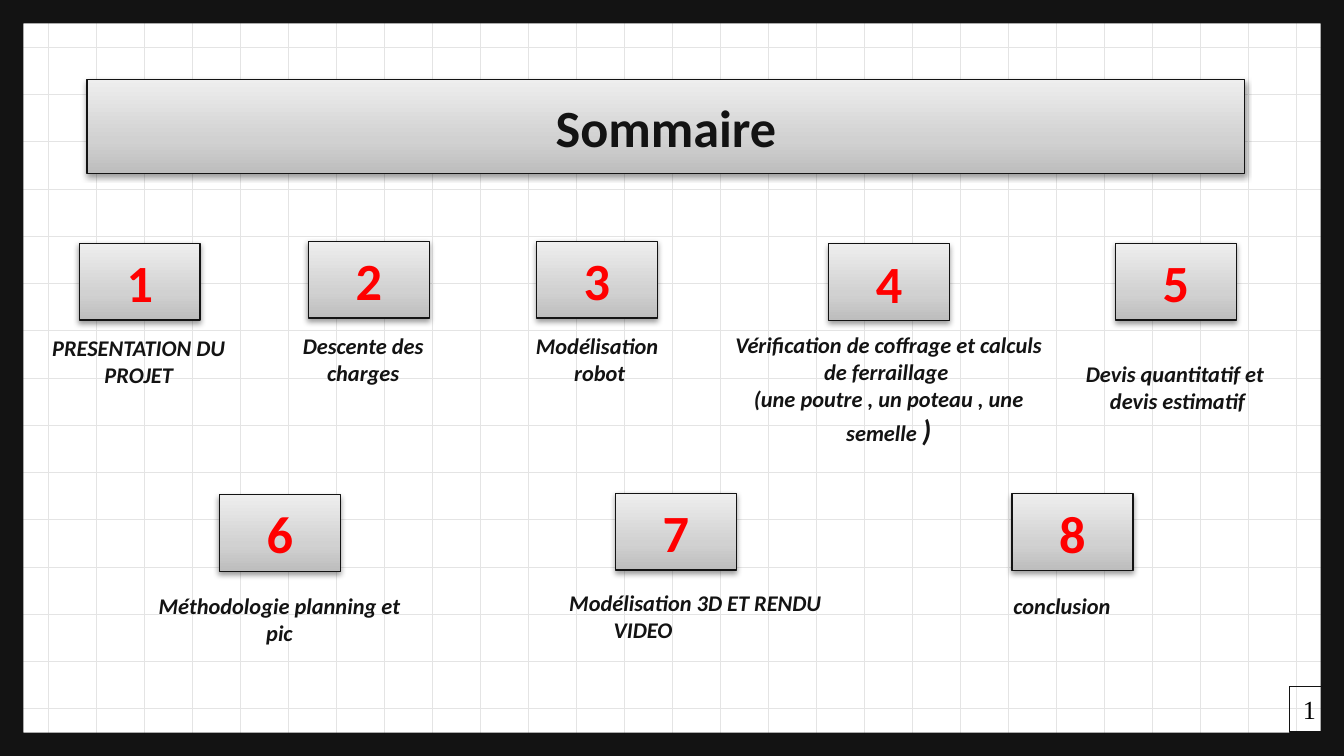
from lxml.etree import SubElement
from pptx import Presentation
from pptx.dml.color import RGBColor
from pptx.enum.shapes import MSO_CONNECTOR, MSO_SHAPE
from pptx.enum.text import MSO_ANCHOR as Anchor, MSO_AUTO_SIZE as AutoSize, PP_ALIGN as Align
from pptx.oxml.ns import qn
from pptx.util import Inches, Pt

INK = RGBColor(0x13, 0x13, 0x13)
RED = RGBColor(0xFF, 0x00, 0x00)
BLACK = RGBColor(0x00, 0x00, 0x00)
GRID_GREY = RGBColor(0xE4, 0xE4, 0xE4)
PANEL_STOPS = ((0, "BDBDBD"), (35, "D1D1D1"), (100, "EEEEEE"))

# The layout grid: square units, 100 columns by 56.25 rows.
UNIT = Inches(0.1)
COLUMNS, ROWS = 100, 56.25
CARD_WIDTH, CARD_HEIGHT = 9, 5.73

# Column and row of each numbered card.
CARDS = [(5.9, 18.1), (22.95, 17.95), (39.92, 17.95), (61.65, 18.13), (83, 18.1),
         (16.33, 36.8), (45.8, 36.7), (75.3, 36.73)]

# Text, (column, row, width, height) and further label options.
LABELS = [
    ("PRESENTATION DU PROJET", (2.27, 22.65, 16.1, 7.2), {}),
    ("Descente des charges", (20.23, 24.45, 13.6, 5.3), {}),
    ("Modélisation \nrobot", (33.87, 24.4, 21.5, 5.3), {}),
    ("Vérification de coffrage et calculs de ferraillage \v"
     "(une poutre , un poteau , une semelle ", (53.38, 24, 25.5, 10.3), {"ending": ")"}),
    ("Devis quantitatif et \ndevis estimatif", (76.57, 25.1, 20.4, 6.7), {"hanging": True}),
    ("Méthodologie planning et pic", (10.6, 43.1, 20.4, 6), {}),
    ("Modélisation 3D ET RENDU VIDEO", (39.67, 43.15, 22.9, 5.7),
     {"hanging": True, "align": Align.LEFT}),
    ("conclusion", (68.82, 42.85, 20.4, 4.2), {}),
]


def grid(*lengths):
    return [round(length * UNIT) for length in lengths]


class SlideBuilder:
    """Holds the slide's style and the page being drawn."""
    font = "Calibri"
    heading_size = Pt(28)
    label_size = Pt(12)
    thin_line = Pt(0.75)

    def __init__(self, deck):
        self.page = deck.slides.add_slide(deck.slide_layouts[5])
        self.shapes = self.page.shapes

    def grid_line(self, *ends):
        line = self.shapes.add_connector(MSO_CONNECTOR.STRAIGHT, *grid(*ends))
        line.line.color.rgb = GRID_GREY
        line.line.width = Pt(0.38)
        SubElement(line.element.spPr, qn("a:effectLst"))

    def squared_paper(self, columns=28, rows=16):
        for row in range(1, rows):
            y = ROWS * row / rows
            self.grid_line(0, y, COLUMNS, y)
        for column in range(1, columns):
            x = COLUMNS * column / columns
            self.grid_line(x, 0, x, ROWS)

    def frame(self):
        border = self.shapes.add_shape(MSO_SHAPE.FRAME, *grid(0, 0, COLUMNS, ROWS))
        border.adjustments[0] = 0.031
        border.shadow.inherit = False
        border.fill.solid()
        border.fill.fore_color.rgb = INK
        border.line.fill.background()

    def style_text(self, shape, size, color, anchor, align=Align.CENTER, italic=False):
        box = shape.text_frame
        box.auto_size = AutoSize.NONE
        box.word_wrap = True
        box.vertical_anchor = anchor
        box.margin_left = box.margin_right = box.margin_top = box.margin_bottom = UNIT
        for para in box.paragraphs:
            para.alignment = align
            for span in para.runs:
                span.font.name = self.font
                span.font.size = size
                span.font.bold = True
                span.font.italic = italic
                span.font.color.rgb = color

    def style_panel(self, shape, text, color):
        """Gives a shape the grey gradient, thin outline, soft shadow and large text."""
        shape.fill.gradient()
        shape.fill.gradient_angle = 90
        properties = shape.element.spPr
        stops = properties.find(".//" + qn("a:gsLst"))
        stops.clear()
        for position, tone in PANEL_STOPS:
            stop = SubElement(stops, qn("a:gs"), pos=str(position * 1000))
            SubElement(stop, qn("a:srgbClr"), val=tone)
        shape.line.color.rgb = INK
        shape.line.width = self.thin_line
        shape.shadow.inherit = False
        shadow = SubElement(properties.find(qn("a:effectLst")), qn("a:outerShdw"),
                            blurRad=str(Pt(3.1)), dist=str(Pt(1.6)),
                            dir="5400000", rotWithShape="0")
        shade = SubElement(shadow, qn("a:srgbClr"), val="000000")
        SubElement(shade, qn("a:alpha"), val="38000")
        shape.text_frame.text = text
        self.style_text(shape, self.heading_size, color, Anchor.MIDDLE)

    def title(self, text, *place):
        title = self.shapes.title
        title.left, title.top, title.width, title.height = grid(*place)
        self.style_panel(title, text, INK)
        # Bring the title in front of the squared paper.
        title.element.getparent().append(title.element)

    def card(self, number, column, row):
        card = self.shapes.add_shape(MSO_SHAPE.RECTANGLE,
                                     *grid(column, row, CARD_WIDTH, CARD_HEIGHT))
        self.style_panel(card, str(number), RED)

    def label(self, text, place, ending="", hanging=False, align=Align.CENTER):
        label = self.shapes.add_textbox(*grid(*place))
        box = label.text_frame
        box.text = text
        if ending:
            box.paragraphs[-1].add_run().text = ending
        self.style_text(label, self.label_size, INK, Anchor.BOTTOM, align, italic=True)
        if ending:
            box.paragraphs[-1].runs[-1].font.size = Pt(16)
        if hanging:
            for para in box.paragraphs:
                properties = para._p.get_or_add_pPr()
                properties.set("marL", str(Inches(0.5)))
                properties.set("indent", str(-Inches(0.33)))

    def page_number(self, number, *place):
        corner = self.shapes.add_textbox(*grid(*place))
        corner.line.color.rgb = INK
        corner.line.width = self.thin_line
        box = corner.text_frame
        box.word_wrap = False
        box.auto_size = AutoSize.SHAPE_TO_FIT_TEXT
        box.text = str(number)
        font = box.paragraphs[0].runs[0].font
        font.name = "Times New Roman"
        font.size = Pt(14)
        font.color.rgb = BLACK


def main():
    deck = Presentation()
    deck.slide_width, deck.slide_height = grid(COLUMNS, ROWS)
    builder = SlideBuilder(deck)
    builder.squared_paper()
    builder.frame()
    builder.title("Sommaire", 6.47, 5.9, 86.15, 7)
    for number, (column, row) in enumerate(CARDS, start=1):
        builder.card(number, column, row)
    for text, place, options in LABELS:
        builder.label(text, place, **options)
    builder.page_number(1, 95.95, 51.08, 3.1, 3.4)
    deck.save("out.pptx")


if __name__ == "__main__":
    main()
